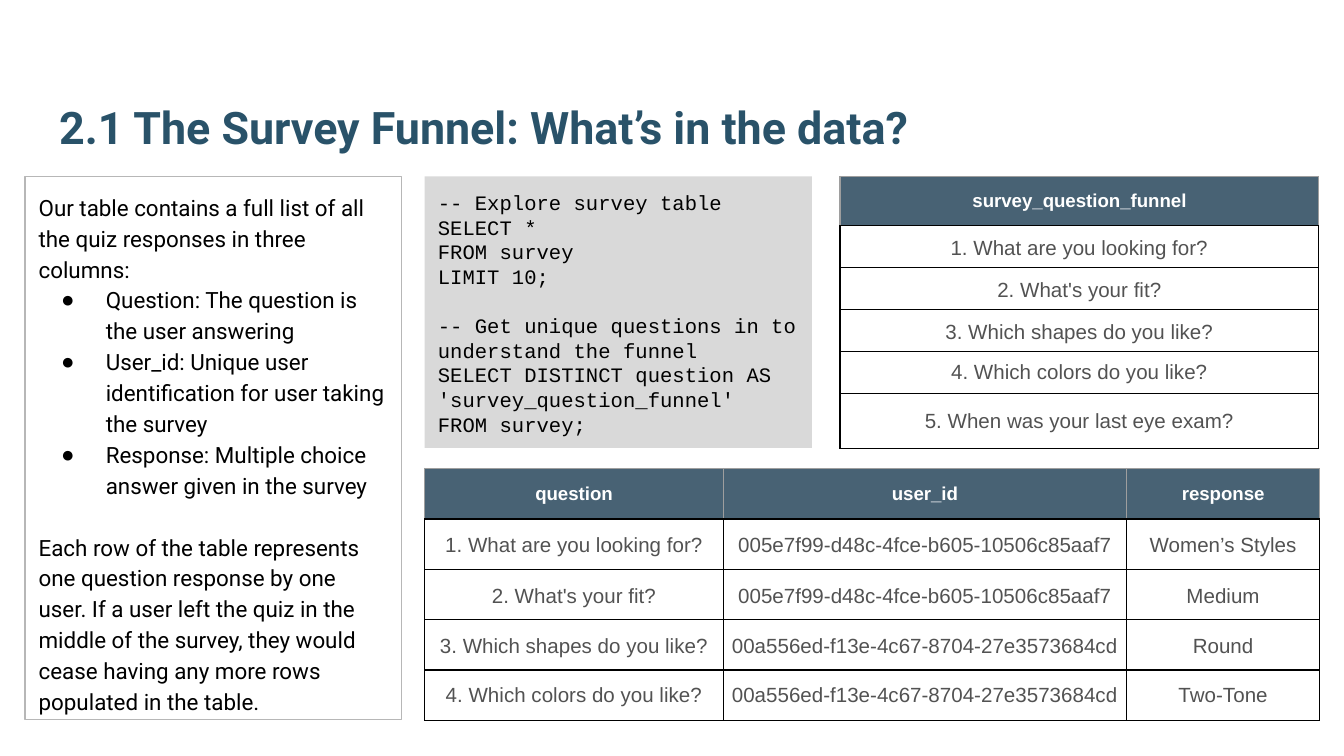
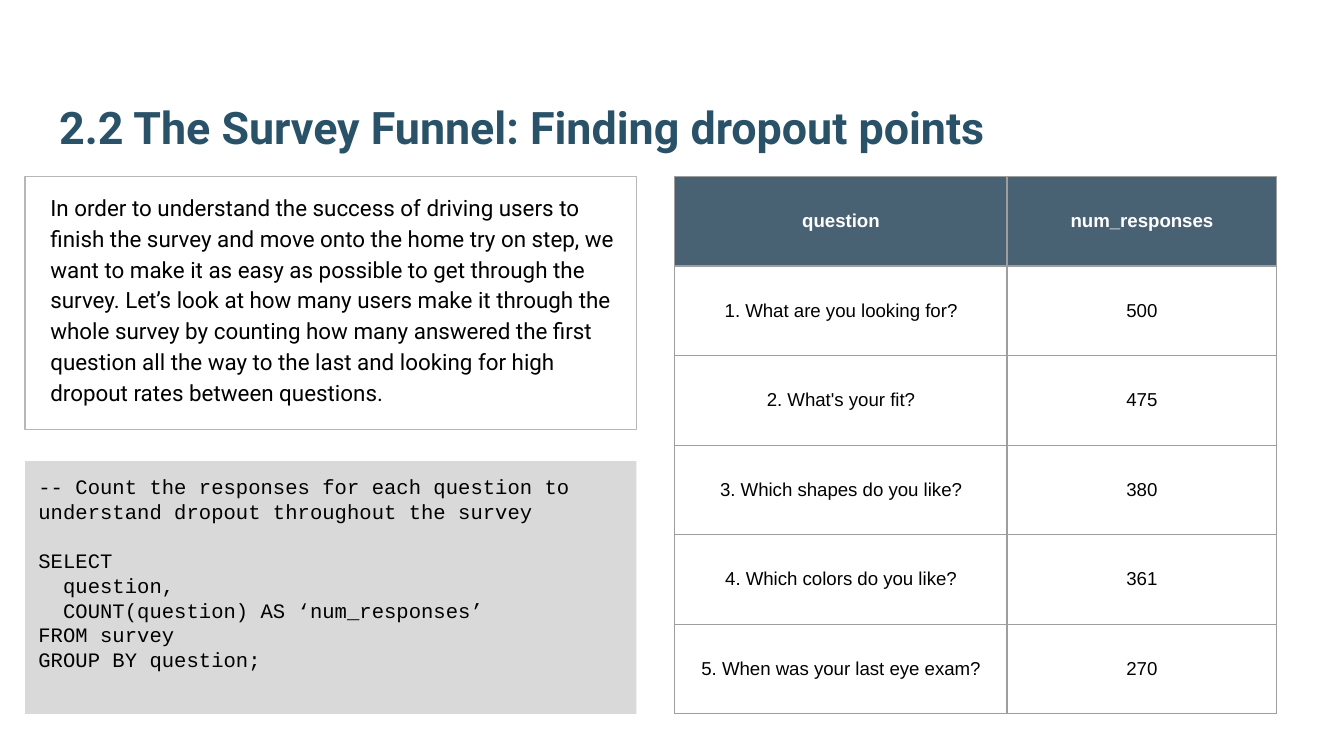
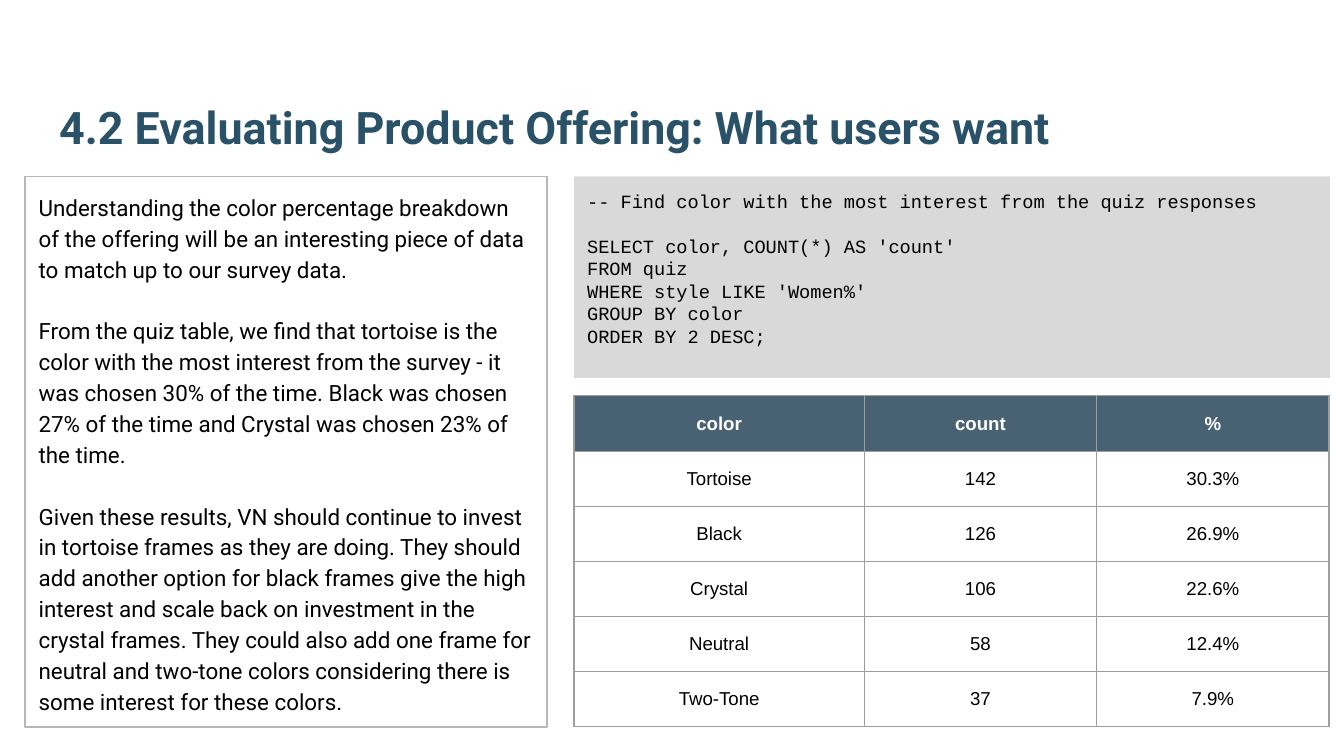
from dataclasses import dataclass
from typing import NamedTuple

from lxml import etree
from pptx import Presentation
from pptx.dml.color import RGBColor
from pptx.enum.shapes import MSO_SHAPE
from pptx.enum.text import MSO_ANCHOR, MSO_AUTO_SIZE, PP_ALIGN
from pptx.oxml.ns import qn
from pptx.util import Pt

RECTANGLE = MSO_SHAPE.RECTANGLE
TOP, MIDDLE, BOTTOM = MSO_ANCHOR.TOP, MSO_ANCHOR.MIDDLE, MSO_ANCHOR.BOTTOM
LEFT, CENTER = PP_ALIGN.LEFT, PP_ALIGN.CENTER
NO_AUTOFIT = MSO_AUTO_SIZE.NONE
TITLE_AND_CONTENT = 1


class TextStyle(NamedTuple):
    font: str
    size: float
    color: RGBColor
    bold: bool = False
    leading: float = 1.0
    block_gap: float = 0  # points between blocks of lines


BLACK = RGBColor.from_string("000000")
WHITE = RGBColor.from_string("FFFFFF")


@dataclass(frozen=True)
class Theme:
    code_fill: RGBColor = RGBColor.from_string("D9D9D9")
    note_line: RGBColor = RGBColor.from_string("B7B7B7")
    header_fill: RGBColor = RGBColor.from_string("204056")
    header_opacity: int = 82
    light_rule: RGBColor = RGBColor.from_string("9E9E9E")
    dark_rule: RGBColor = BLACK
    rule_width: float = 0.75
    title: TextStyle = TextStyle("Roboto", 24, RGBColor.from_string("295269"), True)
    note: TextStyle = TextStyle("Roboto", 12, BLACK, leading=1.15, block_gap=16.5)
    code: TextStyle = TextStyle("Courier New", 11, BLACK, block_gap=13.2)
    small_code: TextStyle = TextStyle("Courier New", 10, BLACK, block_gap=12)
    header: TextStyle = TextStyle("Arial", 10, WHITE, True)
    cell: TextStyle = TextStyle("Arial", 10, BLACK)
    gray_cell: TextStyle = TextStyle("Arial", 11, RGBColor.from_string("525252"))


THEME = Theme()


class Box(NamedTuple):
    left: float
    top: float
    width: float
    height: float


class Insets(NamedTuple):
    left: float
    top: float
    right: float
    bottom: float


class Line(NamedTuple):
    text: str
    bulleted: bool = False


Block = tuple[Line, ...]

PANEL_LEFT, PANEL_TOP = 13.5, 94.5
TITLE_BOX = Box(24.5, 23, 671, 66.25)
ROOMY = Insets(7.2, 7.2, 7.2, 7.2)
TIGHT = Insets(2.25, 1.5, 2.25, 1.5)
BULLET_INDENT, BULLET_HANG = 36, 24


@dataclass(frozen=True)
class Note:
    box: Box
    blocks: tuple[Block, ...]
    insets: Insets = ROOMY


@dataclass(frozen=True)
class Code:
    box: Box
    blocks: tuple[Block, ...]
    style: TextStyle = THEME.code


@dataclass(frozen=True)
class Grid:
    left: float
    top: float
    columns: tuple[float, ...]
    row_heights: tuple[float, ...]
    rows: tuple[tuple[str, ...], ...]
    style: TextStyle = THEME.cell
    insets: Insets = ROOMY
    body_rule: RGBColor = THEME.light_rule
    leaded_rows: int = 0  # body rows, from the top, with the note leading


@dataclass(frozen=True)
class Page:
    title: str
    note: Note
    code: Code
    grids: tuple[Grid, ...]


def lines(*texts: str, bulleted: bool = False) -> Block:
    return tuple(Line(text, bulleted) for text in texts)


def add_run(paragraph, text: str, style: TextStyle) -> None:
    run = paragraph.add_run()
    run.text = text
    run.font.name = style.font
    run.font.size = Pt(style.size)
    run.font.bold = style.bold
    run.font.color.rgb = style.color


def set_bullet(paragraph, bulleted: bool) -> None:
    """Set or clear the bullet and its hanging indent."""
    properties = paragraph._p.get_or_add_pPr()
    properties.set("marL", str(Pt(BULLET_INDENT if bulleted else 0)))
    properties.set("indent", str(Pt(-BULLET_HANG if bulleted else 0)))
    if bulleted:
        color = etree.SubElement(properties, qn("a:buClr"))
        etree.SubElement(color, qn("a:srgbClr"), val=str(THEME.note.color))
        etree.SubElement(properties, qn("a:buChar"), char="●")
    else:
        etree.SubElement(properties, qn("a:buNone"))


def write_blocks(frame, blocks: tuple[Block, ...], style: TextStyle) -> None:
    """Write the lines as paragraphs, with the style's gap between blocks."""
    for block_index, block in enumerate(blocks):
        for line_index, line in enumerate(block):
            first = block_index == line_index == 0
            paragraph = frame.paragraphs[0] if first else frame.add_paragraph()
            set_bullet(paragraph, line.bulleted)
            opens_block = block_index > 0 and line_index == 0
            paragraph.space_before = Pt(style.block_gap if opens_block else 0)
            paragraph.line_spacing = style.leading
            paragraph.alignment = LEFT
            add_run(paragraph, line.text, style)


def set_margins(target, insets: Insets) -> None:
    target.margin_left, target.margin_top = Pt(insets.left), Pt(insets.top)
    target.margin_right, target.margin_bottom = Pt(insets.right), Pt(insets.bottom)


def prepare_frame(frame, insets: Insets, anchor) -> None:
    frame.word_wrap = True
    frame.auto_size = NO_AUTOFIT
    frame.vertical_anchor = anchor
    set_margins(frame, insets)


def place(shape, box: Box) -> None:
    shape.left, shape.top = Pt(box.left), Pt(box.top)
    shape.width, shape.height = Pt(box.width), Pt(box.height)


def fill_title(slide, text: str) -> None:
    title = slide.shapes.title
    place(title, TITLE_BOX)
    prepare_frame(title.text_frame, ROOMY, BOTTOM)
    write_blocks(title.text_frame, (lines(text),), THEME.title)


def fill_note(slide, note: Note) -> None:
    body = slide.placeholders[1]
    place(body, note.box)
    body.line.color.rgb = THEME.note_line
    body.line.width = Pt(THEME.rule_width)
    prepare_frame(body.text_frame, note.insets, TOP)
    write_blocks(body.text_frame, note.blocks, THEME.note)


def add_code(slide, code: Code) -> None:
    panel = slide.shapes.add_shape(RECTANGLE, *map(Pt, code.box))
    panel.shadow.inherit = False
    panel.fill.solid()
    panel.fill.fore_color.rgb = THEME.code_fill
    panel.line.fill.background()
    prepare_frame(panel.text_frame, ROOMY, TOP)
    write_blocks(panel.text_frame, code.blocks, code.style)


def set_borders(cell, side_rule: RGBColor, bottom_rule: RGBColor) -> None:
    properties = cell._tc.get_or_add_tcPr()
    for side in ("L", "R", "T", "B"):
        border = etree.SubElement(
            properties, qn(f"a:ln{side}"), w=str(Pt(THEME.rule_width))
        )
        fill = etree.SubElement(border, qn("a:solidFill"))
        rule = bottom_rule if side == "B" else side_rule
        etree.SubElement(fill, qn("a:srgbClr"), val=str(rule))


def fill_header(cell) -> None:
    cell.fill.solid()
    cell.fill.fore_color.rgb = THEME.header_fill
    color = cell._tc.tcPr.find(qn("a:solidFill")).find(qn("a:srgbClr"))
    etree.SubElement(color, qn("a:alpha"), val=str(THEME.header_opacity * 1000))


def add_grid(slide, grid: Grid) -> None:
    box = Box(grid.left, grid.top, sum(grid.columns), sum(grid.row_heights))
    table = slide.shapes.add_table(
        len(grid.rows), len(grid.columns), *map(Pt, box)
    ).table
    table.first_row = table.horz_banding = False
    for column, width in zip(table.columns, grid.columns):
        column.width = Pt(width)
    for row_index, (texts, height) in enumerate(zip(grid.rows, grid.row_heights)):
        table.rows[row_index].height = Pt(height)
        is_header = row_index == 0
        for column_index, text in enumerate(texts):
            cell = table.cell(row_index, column_index)
            side_rule = THEME.light_rule if is_header else grid.body_rule
            set_borders(cell, side_rule, grid.body_rule)
            if is_header:
                fill_header(cell)
            else:
                cell.fill.background()
            cell.vertical_anchor = MIDDLE
            set_margins(cell, ROOMY if is_header else grid.insets)
            paragraph = cell.text_frame.paragraphs[0]
            paragraph.alignment = CENTER
            if 0 < row_index <= grid.leaded_rows:
                paragraph.line_spacing = THEME.note.leading
            add_run(paragraph, text, THEME.header if is_header else grid.style)


QUESTIONS = (
    "1. What are you looking for?",
    "2. What's your fit?",
    "3. Which shapes do you like?",
    "4. Which colors do you like?",
    "5. When was your last eye exam?",
)
FIRST_USER = "005e7f99-d48c-4fce-b605-10506c85aaf7"
SECOND_USER = "00a556ed-f13e-4c67-8704-27e3573684cd"
USERS = (FIRST_USER, FIRST_USER, SECOND_USER, SECOND_USER)
RESPONSES = ("Women’s Styles", "Medium", "Round", "Two-Tone")

SURVEY_DATA = Page(
    "2.1 The Survey Funnel: What’s in the data?",
    Note(
        Box(PANEL_LEFT, PANEL_TOP, 201.5, 291),
        (
            lines(
                "Our table contains a full list of all the quiz responses in "
                "three columns:"
            )
            + lines(
                "Question: The question is the user answering",
                "User_id: Unique user identification for user taking the survey",
                "Response: Multiple choice answer given in the survey",
                bulleted=True,
            ),
            lines(
                "Each row of the table represents one question response by one "
                "user. If a user left the quiz in the middle of the survey, they "
                "would cease having any more rows populated in the table."
            ),
        ),
    ),
    Code(
        Box(227.5, PANEL_TOP, 207.5, 145.5),
        (
            lines("-- Explore survey table", "SELECT *", "FROM survey", "LIMIT 10;"),
            lines(
                "-- Get unique questions in to understand the funnel",
                "SELECT DISTINCT question AS 'survey_question_funnel'",
                "FROM survey;",
            ),
        ),
    ),
    (
        Grid(
            450, PANEL_TOP, (256.5,), (26.5,) + (22.5,) * 4 + (29.5,),
            (("survey_question_funnel",), *((question,) for question in QUESTIONS)),
            THEME.gray_cell, TIGHT, THEME.dark_rule, leaded_rows=3,
        ),
        Grid(
            227.5, 251, (160, 216, 103.5), (27,) * 5,
            (("question", "user_id", "response"), *zip(QUESTIONS, USERS, RESPONSES)),
            THEME.gray_cell, TIGHT, THEME.dark_rule, leaded_rows=3,
        ),
    ),
)

DROPOUT_POINTS = Page(
    "2.2 The Survey Funnel: Finding dropout points",
    Note(
        Box(PANEL_LEFT, PANEL_TOP, 327.5, 135.5),
        (
            lines(
                "In order to understand the success of driving users to finish the "
                "survey and move onto the home try on step, we want to make it as "
                "easy as possible to get through the survey. Let’s look at how many "
                "users make it through the whole survey by counting how many "
                "answered the first question all the way to the last and looking "
                "for high dropout rates between questions."
            ),
        ),
        ROOMY._replace(left=13.5),
    ),
    Code(
        Box(PANEL_LEFT, 247, 327.5, 135.5),
        (
            lines(
                "-- Count the responses for each question to understand dropout "
                "throughout the survey"
            ),
            lines(
                "SELECT",
                "  question,",
                "  COUNT(question) AS ‘num_responses’",
                "FROM survey",
                "GROUP BY question;",
            ),
        ),
    ),
    (
        Grid(
            361.5, PANEL_TOP, (178, 144.5), (48,) * 6,
            (
                ("question", "num_responses"),
                *zip(QUESTIONS, ("500", "475", "380", "361", "270")),
            ),
        ),
    ),
)

COLOR_INTEREST = Page(
    "4.2 Evaluating Product Offering: What users want",
    Note(
        Box(PANEL_LEFT, PANEL_TOP, 279.5, 295),
        (
            lines(
                "Understanding the color percentage breakdown of the offering will "
                "be an interesting piece of data to match up to our survey data."
            ),
            lines(
                "From the quiz table, we find that tortoise is the color with the "
                "most interest from the survey - it was chosen 30% of the time. "
                "Black was chosen 27% of the time and Crystal was chosen 23% of "
                "the time."
            ),
            lines(
                "Given these results, VN should continue to invest in tortoise "
                "frames as they are doing. They should add another option for "
                "black frames give the high interest and scale back on investment "
                "in the crystal frames. They could also add one frame for neutral "
                "and two-tone colors considering there is some interest for these "
                "colors."
            ),
        ),
    ),
    Code(
        Box(307.5, PANEL_TOP, 405, 108),
        (
            lines("-- Find color with the most interest from the quiz responses"),
            lines(
                "SELECT color, COUNT(*) AS 'count'",
                "FROM quiz",
                "WHERE style LIKE 'Women%'",
                "GROUP BY color",
                "ORDER BY 2 DESC;",
            ),
        ),
        THEME.small_code,
    ),
    (
        Grid(
            307.5, 212, (155.5, 124.5, 124.5), (30,) + (29.5,) * 5,
            (
                ("color", "count", "%"),
                ("Tortoise", "142", "30.3%"),
                ("Black", "126", "26.9%"),
                ("Crystal", "106", "22.6%"),
                ("Neutral", "58", "12.4%"),
                ("Two-Tone", "37", "7.9%"),
            ),
        ),
    ),
)


def main() -> None:
    deck = Presentation()
    deck.slide_width, deck.slide_height = Pt(720), Pt(405)
    layout = deck.slide_layouts[TITLE_AND_CONTENT]
    for page in (SURVEY_DATA, DROPOUT_POINTS, COLOR_INTEREST):
        slide = deck.slides.add_slide(layout)
        fill_title(slide, page.title)
        fill_note(slide, page.note)
        add_code(slide, page.code)
        for grid in page.grids:
            add_grid(slide, grid)
    deck.save("out.pptx")


if __name__ == "__main__":
    main()
